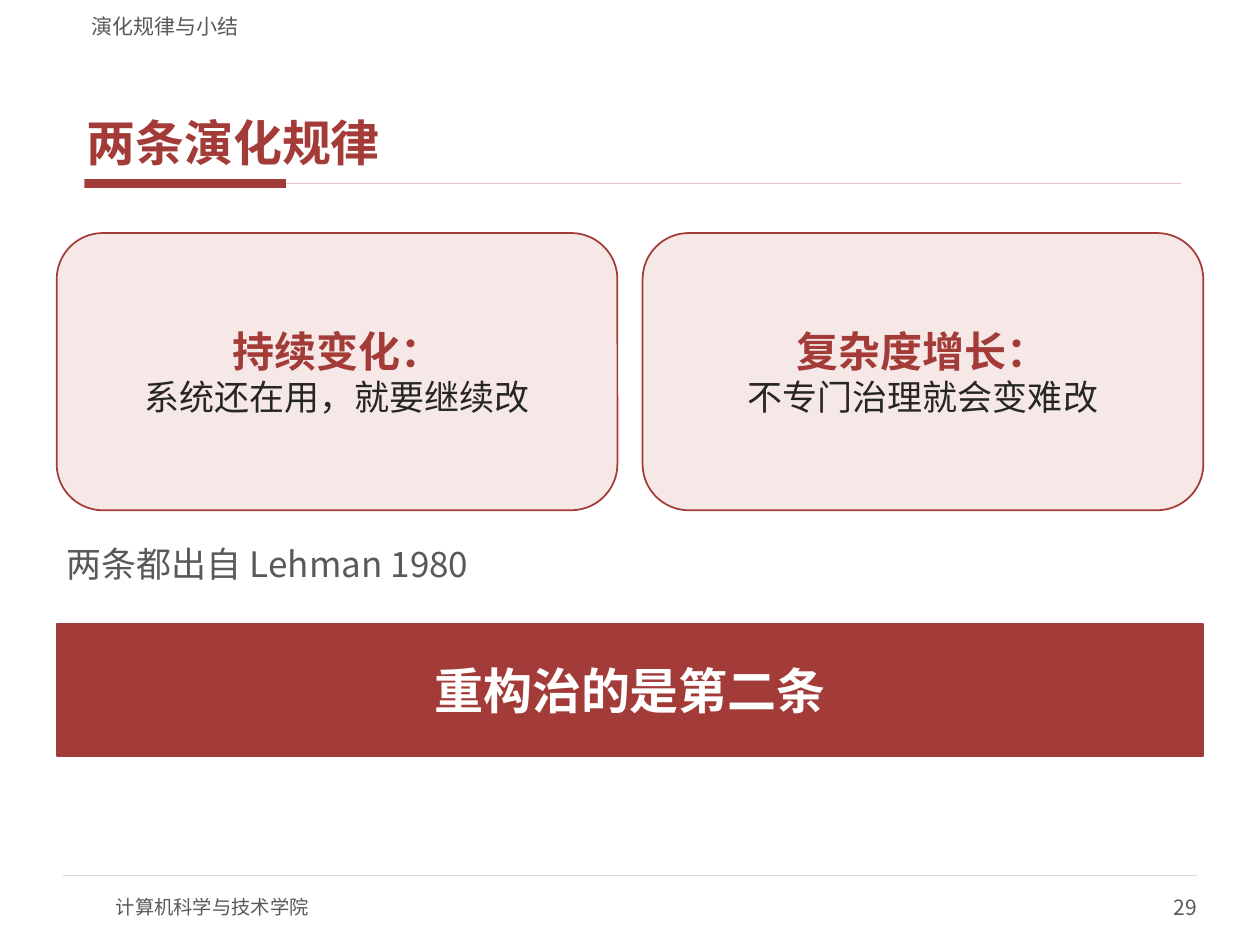
from lxml.etree import SubElement
from pptx import Presentation
from pptx.dml.color import RGBColor
from pptx.enum.shapes import MSO_CONNECTOR as Connector, MSO_SHAPE as Shape
from pptx.enum.text import MSO_ANCHOR as Anchor, PP_ALIGN as Align
from pptx.oxml.ns import qn
from pptx.util import Pt

FONT = "Noto Sans CJK SC"
COLORS = {
    "red": "A33B38", "pink": "F6E8E6", "rose": "E3C4C2", "rule": "D9D9D9",
    "gray": "595959", "ink": "262626", "white": "FFFFFF",
}
SECTION = "演化规律与小结"
TITLE = "两条演化规律"
LAWS = [
    ("持续变化：", "系统还在用，就要继续改"),
    ("复杂度增长：", "不专门治理就会变难改"),
]
ORIGIN = "两条都出自 Lehman 1980"
CONCLUSION = "重构治的是第二条"
SCHOOL = "计算机科学与技术学院"
PAGE_NUMBER = "29"

LEFT, WIDTH, GAP = 32.4, 655.2, 14.4
CARD_WIDTH = (WIDTH - GAP * (len(LAWS) - 1)) / len(LAWS)
BODY_INSETS = (5.76, 2.88)


def color(name):
    return RGBColor.from_string(COLORS[name])


def write(box, lines, align=Align.LEFT, anchor=Anchor.MIDDLE, insets=BODY_INSETS):
    frame = box.text_frame
    frame.word_wrap = True
    frame.vertical_anchor = anchor
    frame.margin_left = frame.margin_right = Pt(insets[0])
    frame.margin_top = frame.margin_bottom = Pt(insets[1])
    for index, (text, size, tint, bold) in enumerate(lines):
        para = frame.add_paragraph() if index else frame.paragraphs[0]
        para.text = text
        para.alignment = align
        font = para.font
        font.size, font.bold, font.name = Pt(size), bold, FONT
        font.color.rgb = color(tint)
        defaults = para._p.pPr.find(qn("a:defRPr"))
        SubElement(defaults, qn("a:ea"), typeface=FONT)
    return frame


def add_text(page, place, line, **layout):
    box = page.shapes.add_textbox(*map(Pt, place))
    return write(box, [line], **layout)


def add_panel(page, kind, place, fill, outline=None):
    panel = page.shapes.add_shape(kind, *map(Pt, place))
    panel.shadow.inherit = False
    panel.fill.solid()
    panel.fill.fore_color.rgb = color(fill)
    if outline:
        panel.line.color.rgb = color(outline)
        panel.line.width = Pt(1)
    else:
        panel.line.fill.background()
    return panel


def add_rule(page, start, end, top, tint, weight):
    rule = page.shapes.add_connector(
        Connector.STRAIGHT, Pt(start), Pt(top), Pt(end), Pt(top))
    rule.line.color.rgb = color(tint)
    rule.line.width = Pt(weight)
    SubElement(rule._element.spPr, qn("a:effectLst"))


def main():
    deck = Presentation()
    deck.slide_width, deck.slide_height = Pt(720), Pt(540)
    page = deck.slides.add_slide(deck.slide_layouts[6])

    add_panel(page, Shape.RECTANGLE, (48.2, 102.4, 115.2, 5), "red")
    add_rule(page, 163.4, 674.6, 104.9, "rose", 1)
    add_rule(page, 36, 684, 500.4, "rule", 0.75)
    add_text(page, (66.2, 504, 288, 28.8), (SCHOOL, 11, "gray", False), insets=(0, 0))
    add_text(page, (540, 504, 144, 28.8), (PAGE_NUMBER, 12, "gray", False),
             align=Align.RIGHT, insets=(0, 0))

    title = add_text(page, (45, 23.8, 630, 75.6), (TITLE, 28, "red", True),
                     anchor=Anchor.BOTTOM, insets=(4.32, 1.44))
    title.paragraphs[0].space_after = Pt(2)

    for index, (law, meaning) in enumerate(LAWS):
        left = LEFT + index * (CARD_WIDTH + GAP)
        card = add_panel(page, Shape.ROUNDED_RECTANGLE,
                         (left, 133.2, CARD_WIDTH, 158.4), "pink", "red")
        write(card, [(law, 24, "red", True), (meaning, 20, "ink", False)],
              align=Align.CENTER)

    add_text(page, (LEFT, 302.4, WIDTH, 39.6), (ORIGIN, 20, "gray", False))
    banner = add_panel(page, Shape.RECTANGLE, (LEFT, 356.4, WIDTH, 75.6), "red", "red")
    write(banner, [(CONCLUSION, 28, "white", True)], align=Align.CENTER)
    add_text(page, (45, 2.9, 630, 19.4), (SECTION, 12, "gray", False),
             anchor=Anchor.BOTTOM, insets=(7.2, 0))

    deck.save("out.pptx")


if __name__ == "__main__":
    main()
